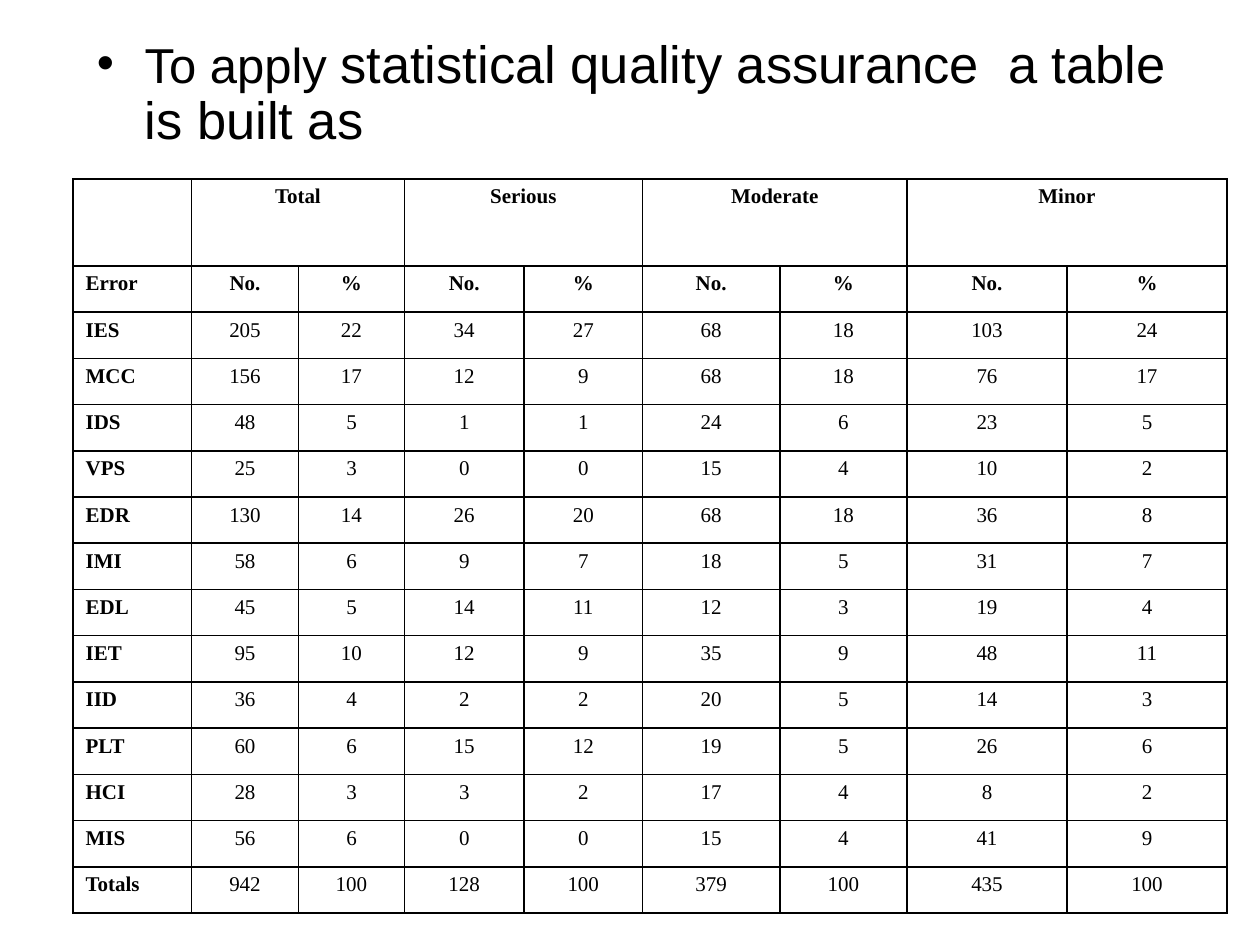
from dataclasses import dataclass

from lxml import etree
from pptx import Presentation
from pptx import util as u
from pptx.dml.color import RGBColor
from pptx.enum import text
from pptx.oxml import ns


@dataclass(frozen=True)
class Theme:
    ink: RGBColor = RGBColor(0, 0, 0)
    heading_font: str = "Arial"
    table_font: str = "Times New Roman"
    lead_size: u.Pt = u.Pt(28)
    heading_size: u.Pt = u.Pt(30)
    table_size: u.Pt = u.Pt(12)
    border: u.Pt = u.Pt(1)


@dataclass(frozen=True)
class ErrorRow:
    label: str
    values: tuple[int, ...]


THEME = Theme()
GROUPS = ("Total", "Serious", "Moderate", "Minor")
MEASURES = ("No.", "%")
ERRORS = (
    ErrorRow("IES", (205, 22, 34, 27, 68, 18, 103, 24)),
    ErrorRow("MCC", (156, 17, 12, 9, 68, 18, 76, 17)),
    ErrorRow("IDS", (48, 5, 1, 1, 24, 6, 23, 5)),
    ErrorRow("VPS", (25, 3, 0, 0, 15, 4, 10, 2)),
    ErrorRow("EDR", (130, 14, 26, 20, 68, 18, 36, 8)),
    ErrorRow("IMI", (58, 6, 9, 7, 18, 5, 31, 7)),
    ErrorRow("EDL", (45, 5, 14, 11, 12, 3, 19, 4)),
    ErrorRow("IET", (95, 10, 12, 9, 35, 9, 48, 11)),
    ErrorRow("IID", (36, 4, 2, 2, 20, 5, 14, 3)),
    ErrorRow("PLT", (60, 6, 15, 12, 19, 5, 26, 6)),
    ErrorRow("HCI", (28, 3, 3, 2, 17, 4, 8, 2)),
    ErrorRow("MIS", (56, 6, 0, 0, 15, 4, 41, 9)),
    ErrorRow("Totals", (942, 100, 128, 100, 379, 100, 435, 100)),
)
COLUMN_WIDTHS = (0.94, 0.85, 0.84, 0.95, 0.94, 1.09, 1.01, 1.27, 1.27)
TABLE_HEIGHT = 5.83
GROUP_ROW_HEIGHT = 0.69


def style_font(font, name: str, size: u.Pt, bold: bool = False) -> None:
    font.name = name
    font.size = size
    font.bold = bold
    font.color.rgb = THEME.ink


def add_heading(slide) -> None:
    box = slide.shapes.add_textbox(
        u.Inches(0.67), u.Inches(0.25), u.Inches(9), u.Inches(1.08)
    )
    box.text_frame.word_wrap = True
    paragraph = box.text_frame.paragraphs[0]
    properties = paragraph._p.get_or_add_pPr()
    properties.set("marL", str(u.Inches(0.38)))
    properties.set("indent", str(-u.Inches(0.38)))
    bullet_font = etree.SubElement(properties, ns.qn("a:buFont"))
    bullet_font.set("typeface", THEME.heading_font)
    etree.SubElement(properties, ns.qn("a:buChar")).set("char", "•")
    paragraph.line_spacing = 0.9
    for wording, size in (
        ("To apply ", THEME.lead_size),
        ("statistical quality assurance  a table is built as", THEME.heading_size),
    ):
        run = paragraph.add_run()
        run.text = wording
        style_font(run.font, THEME.heading_font, size)


def style_cell(cell) -> None:
    properties = cell._tc.get_or_add_tcPr()
    for side in ("a:lnL", "a:lnR", "a:lnT", "a:lnB"):
        line = etree.SubElement(properties, ns.qn(side), w=str(THEME.border))
        fill = etree.SubElement(line, ns.qn("a:solidFill"))
        etree.SubElement(fill, ns.qn("a:srgbClr"), val=str(THEME.ink))
    cell.fill.background()


def write_cell(cell, wording: str, bold: bool, centred: bool) -> None:
    paragraph = cell.text_frame.paragraphs[0]
    paragraph.text = wording
    paragraph.alignment = text.PP_ALIGN.CENTER if centred else text.PP_ALIGN.LEFT
    style_font(paragraph.runs[0].font, THEME.table_font, THEME.table_size, bold)


def add_error_table(slide) -> None:
    row_count = len(ERRORS) + 2
    table = slide.shapes.add_table(
        row_count,
        len(COLUMN_WIDTHS),
        u.Inches(0.58),
        u.Inches(1.42),
        u.Inches(sum(COLUMN_WIDTHS)),
        u.Inches(TABLE_HEIGHT),
    ).table
    table.first_row = False
    table.horz_banding = False
    for column, width in zip(table.columns, COLUMN_WIDTHS):
        column.width = u.Inches(width)
    for row in table.rows:
        row.height = u.Inches((TABLE_HEIGHT - GROUP_ROW_HEIGHT) / (row_count - 1))
    table.rows[0].height = u.Inches(GROUP_ROW_HEIGHT)
    for cell in table.iter_cells():
        style_cell(cell)

    for index, group in enumerate(GROUPS):
        first = 1 + index * len(MEASURES)
        cell = table.cell(0, first)
        cell.merge(table.cell(0, first + len(MEASURES) - 1))
        write_cell(cell, group, bold=True, centred=True)

    lines = [("Error", MEASURES * len(GROUPS))]
    lines += [(error.label, error.values) for error in ERRORS]
    for row_index, (label, values) in enumerate(lines, start=1):
        write_cell(table.cell(row_index, 0), label, bold=True, centred=False)
        for column_index, value in enumerate(values, start=1):
            write_cell(
                table.cell(row_index, column_index),
                str(value),
                bold=row_index == 1,
                centred=True,
            )


def main() -> None:
    presentation = Presentation()
    presentation.slide_width = u.Inches(10)
    presentation.slide_height = u.Inches(7.5)
    slide = presentation.slides.add_slide(presentation.slide_layouts[6])
    add_heading(slide)
    add_error_table(slide)
    presentation.save("out.pptx")


if __name__ == "__main__":
    main()
